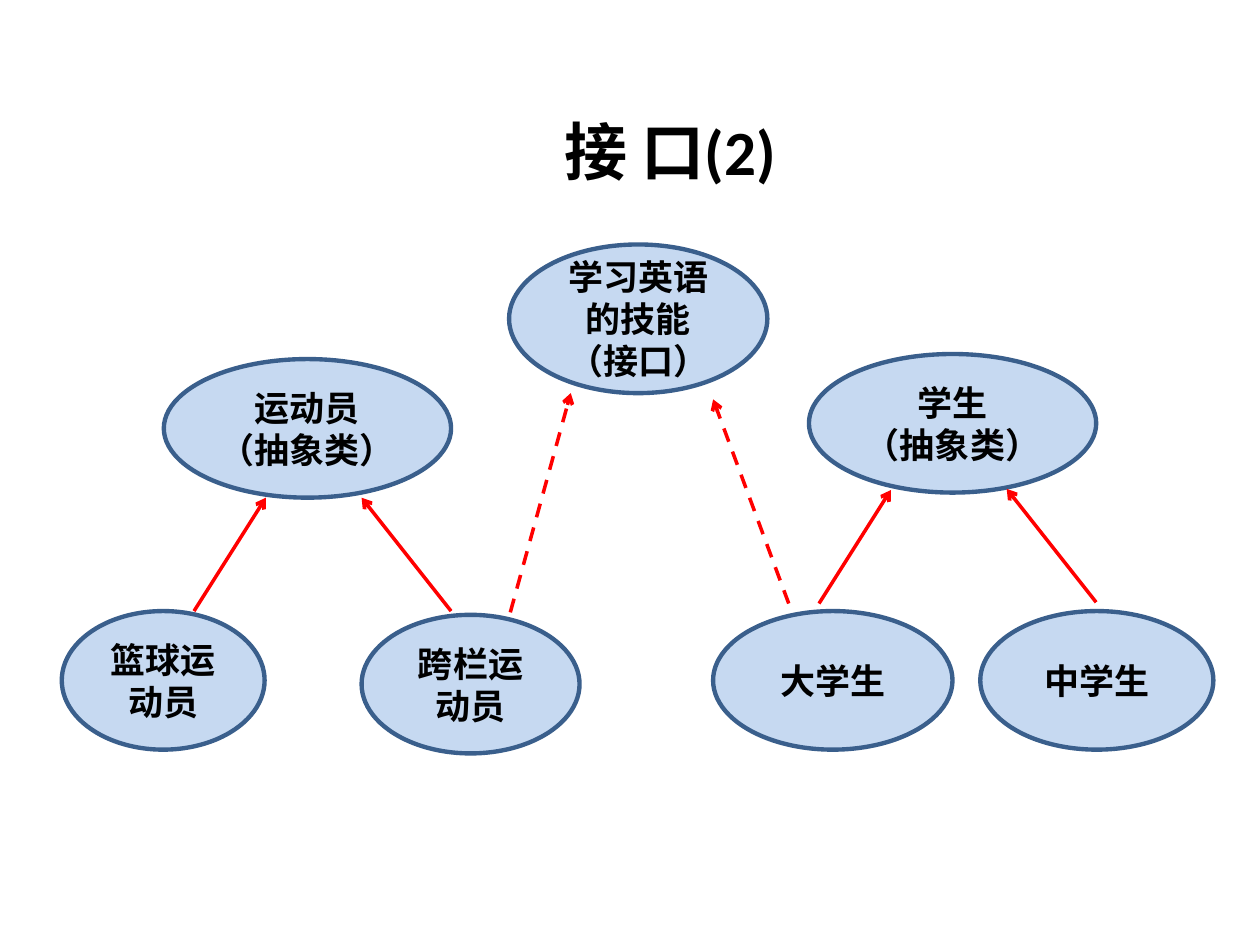
from dataclasses import dataclass

from lxml import etree
from pptx import Presentation
from pptx.dml.color import RGBColor
from pptx.enum.dml import MSO_LINE
from pptx.enum.shapes import MSO_CONNECTOR, MSO_SHAPE
from pptx.enum.text import MSO_ANCHOR, PP_ALIGN
from pptx.oxml.ns import qn
from pptx.util import Inches, Pt

OVAL = MSO_SHAPE.OVAL
STRAIGHT = MSO_CONNECTOR.STRAIGHT
DASH = MSO_LINE.DASH
MIDDLE = MSO_ANCHOR.MIDDLE
CENTER = PP_ALIGN.CENTER
TITLE_ONLY = 5


@dataclass(frozen=True)
class Theme:
    text: RGBColor = RGBColor(0x00, 0x00, 0x00)
    node_fill: RGBColor = RGBColor(0xC6, 0xD9, 0xF1)
    node_line: RGBColor = RGBColor(0x3A, 0x5F, 0x8C)
    arrow: RGBColor = RGBColor(0xFF, 0x00, 0x00)
    title_font: str = "Calibri"
    node_font: str = "Noto Sans CJK SC"
    title_size: Pt = Pt(36)
    node_size: Pt = Pt(20)
    node_width: Pt = Pt(2.5)
    arrow_width: Pt = Pt(2)


THEME = Theme()


def write_lines(frame, lines, font_name, size):
    """Write one centred bold paragraph per line."""
    frame.word_wrap = True
    frame.vertical_anchor = MIDDLE
    for index, line in enumerate(lines):
        paragraph = frame.add_paragraph() if index else frame.paragraphs[0]
        paragraph.alignment = CENTER
        run = paragraph.add_run()
        run.text = line
        run.font.name = font_name
        run.font.size = size
        run.font.bold = True
        run.font.color.rgb = THEME.text
        east_asian = etree.Element(qn("a:ea"), typeface=THEME.node_font)
        run.font._element.find(qn("a:latin")).addnext(east_asian)


def add_title(slide, box, text):
    title = slide.shapes.title
    title.left, title.top, title.width, title.height = map(Inches, box)
    write_lines(title.text_frame, [text], THEME.title_font, THEME.title_size)


def add_node(slide, box, *lines):
    node = slide.shapes.add_shape(OVAL, *map(Inches, box))
    node.shadow.inherit = False
    node.fill.solid()
    node.fill.fore_color.rgb = THEME.node_fill
    node.line.color.rgb = THEME.node_line
    node.line.width = THEME.node_width
    write_lines(node.text_frame, lines, THEME.node_font, THEME.node_size)


def add_arrow(slide, start, end, dashed=False):
    arrow = slide.shapes.add_connector(STRAIGHT, *map(Inches, (*start, *end)))
    arrow.line.color.rgb = THEME.arrow
    arrow.line.width = THEME.arrow_width
    if dashed:
        arrow.line.dash_style = DASH
    etree.SubElement(arrow.line._get_or_add_ln(), qn("a:tailEnd"), type="arrow")
    etree.SubElement(arrow._element.spPr, qn("a:effectLst"))


def add_family(slide, box, parent, children, arrow_offsets):
    """Abstract class above its subclasses, each joined by an arrow."""
    left, top, width, height = box
    add_node(slide, box, parent, "（抽象类）")
    for name, dx, dy, child_width in children:
        add_node(slide, (left + dx, top + dy, child_width, height), name)
    for start_x, start_y, end_x, end_y in arrow_offsets:
        add_arrow(slide, (left + start_x, top + start_y),
                  (left + end_x, top + end_y))


def add_interface(slide, box, arrow_offsets):
    """Interface node with a dashed arrow from each implementing class."""
    left, top = box[:2]
    for start_x, start_y, end_x, end_y in arrow_offsets:
        add_arrow(slide, (left + start_x, top + start_y),
                  (left + end_x, top + end_y), dashed=True)
    add_node(slide, box, "学习英语的技能", "（接口）")


def main():
    deck = Presentation()
    deck.slide_width, deck.slide_height = Inches(10), Inches(7.5)
    slide = deck.slides.add_slide(deck.slide_layouts[TITLE_ONLY])

    add_title(slide, (2.86, 0.76, 4.92, 0.86), "接 口(2)")

    # Athletes
    add_family(slide, (1.3, 2.85, 2.28, 1.1), "运动员",
               [("篮球运动员", -0.81, 2, 1.61), ("跨栏运动员", 1.57, 2.03, 1.73)],
               [(0.24, 2, 0.81, 1.1), (2.28, 2, 1.57, 1.1)])
    # Students
    add_family(slide, (6.42, 2.81, 2.28, 1.1), "学生",
               [("大学生", -0.76, 2.04, 1.9), ("中学生", 1.36, 2.04, 1.85)],
               [(0.08, 1.98, 0.65, 1.08), (2.28, 1.97, 1.57, 1.07)])
    # Shared skill
    add_interface(slide, (4.04, 1.94, 2.05, 1.18),
                  [(2.22, 2.85, 1.62, 1.23), (0.01, 2.92, 0.49, 1.18)])

    deck.save("out.pptx")


if __name__ == "__main__":
    main()
